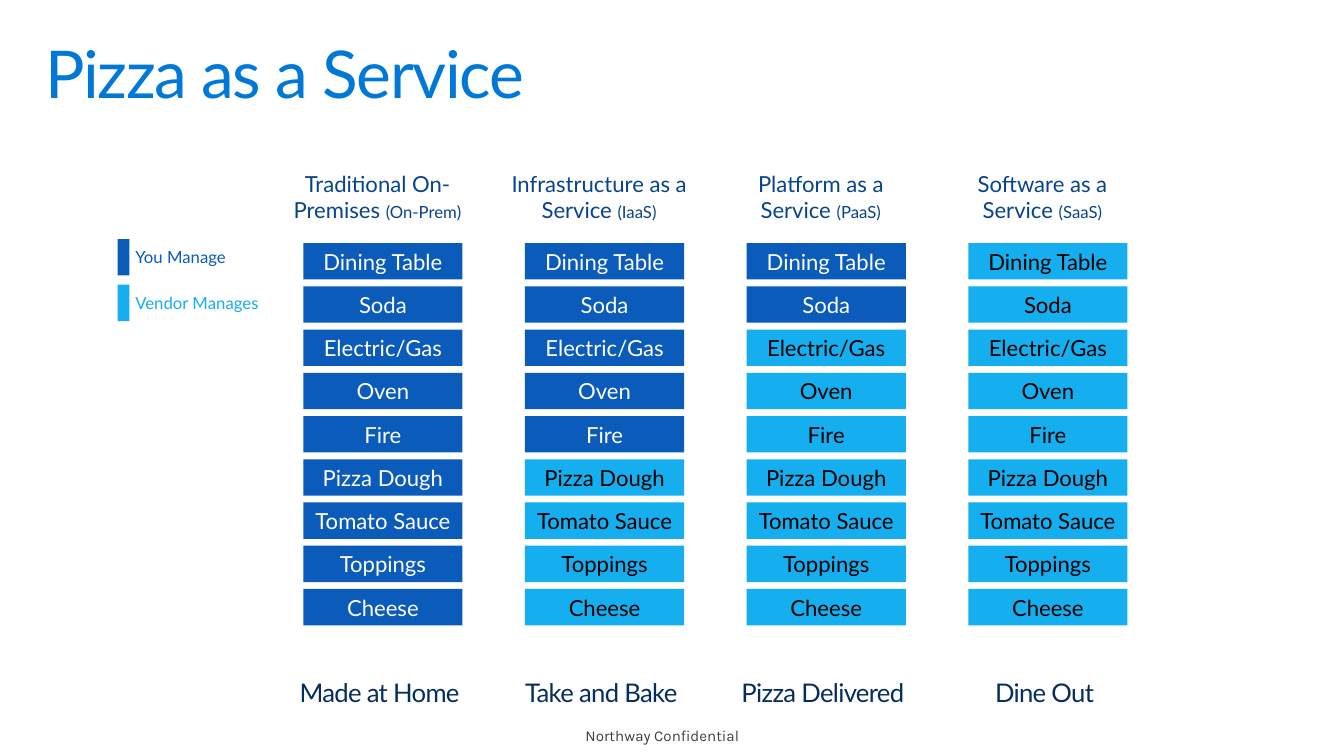
from pptx import Presentation
from pptx.dml.color import RGBColor
from pptx.enum.shapes import MSO_SHAPE
from pptx.enum.text import MSO_ANCHOR, PP_ALIGN
from pptx.util import Pt

RECT = MSO_SHAPE.RECTANGLE
LEFT, CENTER = PP_ALIGN.LEFT, PP_ALIGN.CENTER
TOP, MIDDLE, BOTTOM = MSO_ANCHOR.TOP, MSO_ANCHOR.MIDDLE, MSO_ANCHOR.BOTTOM

WHITE = RGBColor(0xFF, 0xFF, 0xFF)
BLACK = RGBColor(0x00, 0x00, 0x00)
BLUE = RGBColor(0x0A, 0x5B, 0xBA)
SKY = RGBColor(0x15, 0xAE, 0xEF)
AZURE = RGBColor(0x00, 0x78, 0xD7)
NAVY = RGBColor(0x08, 0x44, 0x8B)
INK = RGBColor(0x05, 0x2D, 0x5D)
GRAY = RGBColor(0x3F, 0x3F, 0x3F)

# Grid of tiles
GRID_X, GRID_Y = 221, 177.1
STEP_X, STEP_Y = 161.5, 31.5
TILE_W, TILE_H = 116, 26.5

PARTS = ["Dining Table", "Soda", "Electric/Gas", "Oven", "Fire",
         "Pizza Dough", "Tomato Sauce", "Toppings", "Cheese"]
# Heading, short name, caption, number of parts that you manage
MODELS = [
    ("Traditional On-Premises ", "(On-Prem)", "Made at Home", 9),
    ("Infrastructure as a Service ", "(IaaS)", "Take and Bake", 5),
    ("Platform as a Service ", "(PaaS)", "Pizza Delivered", 2),
    ("Software as a Service ", "(SaaS)", "Dine Out", 0),
]
# Label, colour, top
KEYS = [("You Manage", BLUE, 174.2), ("Vendor Manages", SKY, 207.4)]


def write(shape, *parts, color, align=CENTER, anchor=MIDDLE, font="Lato",
          inset=(0, 0, 0, 0), track=0, lead=1.0):
    """Fill a shape with one paragraph of (text, size) parts."""
    frame = shape.text_frame
    frame.word_wrap = True
    frame.vertical_anchor = anchor
    (frame.margin_left, frame.margin_top,
     frame.margin_right, frame.margin_bottom) = map(Pt, inset)
    para = frame.paragraphs[0]
    para.alignment = align
    para.line_spacing = lead
    for text, size in parts:
        run = para.add_run()
        run.text = text
        run.font.size = Pt(size)
        run.font.name = font
        run.font.color.rgb = color
        if track:
            run._r.get_or_add_rPr().set("spc", str(round(track * 100)))


def add_text(slide, x, y, w, h, *parts, **style):
    box = slide.shapes.add_textbox(Pt(x), Pt(y), Pt(w), Pt(h))
    write(box, *parts, **style)


def add_rect(slide, x, y, w, h, fill):
    rect = slide.shapes.add_shape(RECT, Pt(x), Pt(y), Pt(w), Pt(h))
    rect.shadow.inherit = False
    rect.fill.solid()
    rect.fill.fore_color.rgb = fill
    rect.line.fill.background()
    return rect


def add_model(slide, x, name, short, caption, own):
    # Heading
    add_text(slide, x - 12.2, 123.8, 132.5, 44.6, (name, 16.1), (short, 12.2),
             color=NAVY, anchor=TOP)
    # Tiles
    for row, part in enumerate(PARTS):
        fill, color = (BLUE, WHITE) if row < own else (SKY, BLACK)
        tile = add_rect(slide, x, GRID_Y + row * STEP_Y, TILE_W, TILE_H, fill)
        write(tile, (part, 16.1), color=color)
    # Caption
    add_text(slide, x - 23.7, 473.8, 155.5, 47.5, (caption, 18.7), color=INK,
             anchor=BOTTOM, inset=(5.8, 2.9, 2.9, 5.8), track=-0.5)


def add_key(slide, label, color, y):
    add_rect(slide, 85.7, y, 8.6, TILE_H, color)
    add_text(slide, 95, y, 122, TILE_H, (label, 12.2), color=color,
             align=LEFT, inset=(3.6, 3.6, 0, 3.6))


def main():
    deck = Presentation()
    deck.slide_width, deck.slide_height = Pt(979.2), Pt(550.8)
    slide = deck.slides.add_slide(deck.slide_layouts[6])

    # Title
    add_text(slide, 21.6, 23, 936, 72, ("Pizza as a Service", 48),
             color=AZURE, align=LEFT, anchor=TOP,
             inset=(11.5, 7.2, 11.5, 7.2), track=-1, lead=0.9)

    # Service models
    for col, model in enumerate(MODELS):
        add_model(slide, GRID_X + col * STEP_X, *model)

    # Legend
    for key in KEYS:
        add_key(slide, *key)

    # Footer
    add_text(slide, 368.6, 521.3, 228.2, 29.5, ("Northway Confidential", 11),
             color=GRAY, font="Karla", inset=(14.4, 3.6, 14.4, 3.6))

    deck.save("out.pptx")


if __name__ == "__main__":
    main()
